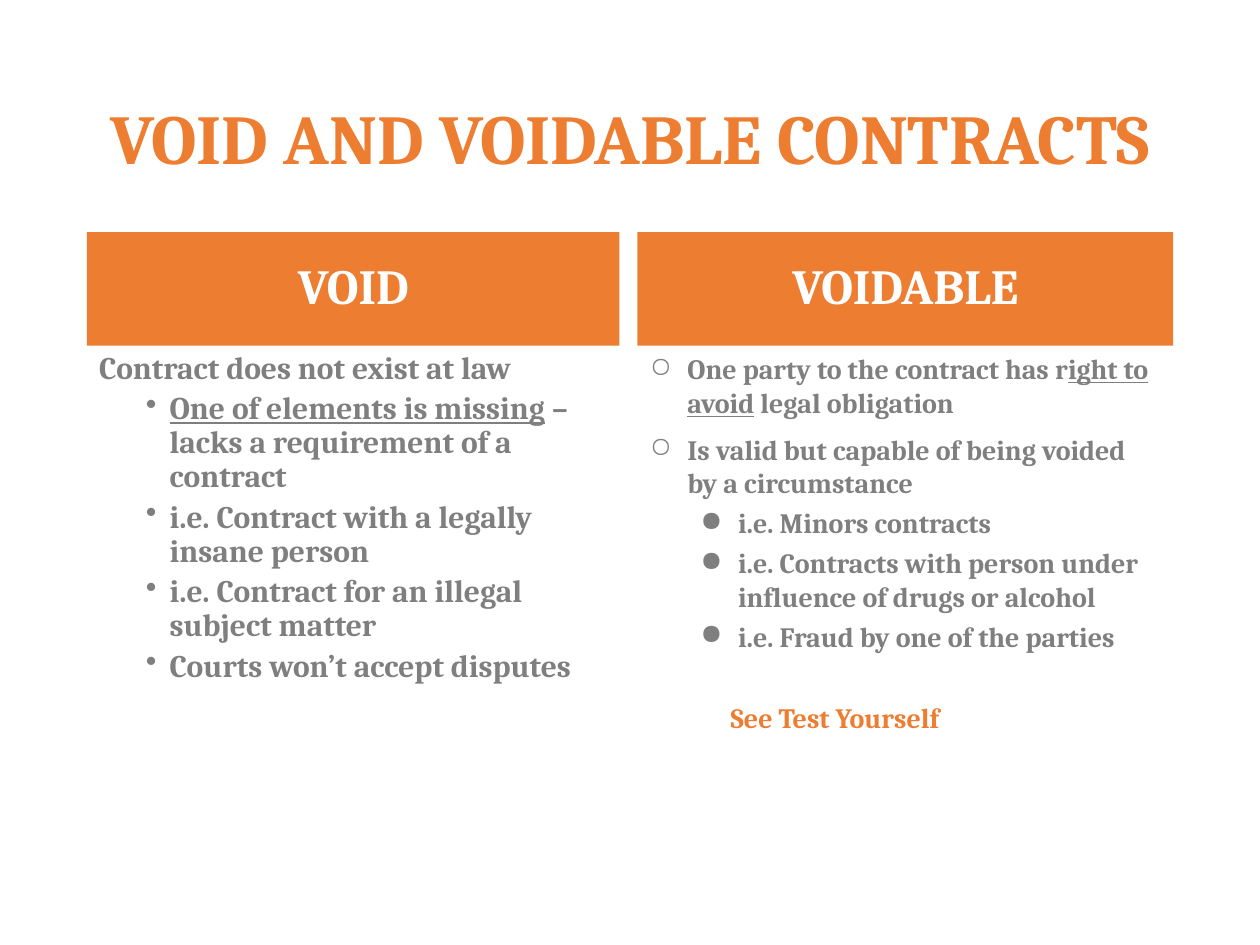
from lxml import etree
from pptx import Presentation
from pptx.dml.color import RGBColor
from pptx.enum.shapes import MSO_SHAPE
from pptx.enum.text import MSO_ANCHOR, PP_ALIGN
from pptx.oxml.ns import qn
from pptx.util import Cm, Pt

RECTANGLE = MSO_SHAPE.RECTANGLE
MIDDLE, TOP = MSO_ANCHOR.MIDDLE, MSO_ANCHOR.TOP
CENTER, LEFT = PP_ALIGN.CENTER, PP_ALIGN.LEFT

COLORS = {"orange": "ED7D31", "gray": "7F7F7F", "white": "FFFFFF"}
FONT = "Cambria"
BLANK_LAYOUT = 6

HEADING_TOP, HEADING_HEIGHT = 4.68, 2.29
BODY_TOP, BODY_HEIGHT = HEADING_TOP + HEADING_HEIGHT, 10.24

# Indents are (left margin, first line) in cm.
STYLES = {
    "title": {"size": 40, "color": "orange",
              "format": {"alignment": CENTER, "line_spacing": 0.9}},
    "heading": {"size": 28, "color": "white",
                "format": {"alignment": CENTER, "line_spacing": 0.9}},
    "lead": {"size": 18, "format": {"line_spacing": 0.9}},
    "void point": {"size": 18, "bullet": "•", "indent": (1.42, -0.48),
                   "format": {"level": 1, "line_spacing": 0.9, "space_before": Pt(3.7)}},
    "voidable point": {"size": 16, "bullet": "○", "indent": (0.76, -0.76),
                       "format": {"line_spacing": 1.0, "space_before": Pt(7.5)}},
    "example": {"size": 16, "bullet": "●", "indent": (1.78, -0.76),
                "format": {"level": 1, "line_spacing": 1.0, "space_before": Pt(3.7)}},
    "reference": {"size": 16, "color": "orange", "indent": (1.63, 0),
                  "format": {"level": 1, "line_spacing": 1.0, "space_before": Pt(27)}},
}

# Each paragraph is a style and its runs; odd-numbered runs are underlined.
COLUMNS = [
    {"left": 1.75, "width": 10.74, "heading": "VOID", "body": [
        ("lead", ["Contract does not exist at law"]),
        ("void point", ["", "One of elements is missing", " – lacks a requirement of a contract"]),
        ("void point", ["i.e. Contract with a legally insane person"]),
        ("void point", ["i.e. Contract for an illegal subject matter"]),
        ("void point", ["Courts won’t accept disputes"]),
    ]},
    {"left": 12.85, "width": 10.8, "heading": "VOIDABLE", "body": [
        ("voidable point", ["One party to the contract has r", "ight to avoid", " legal obligation"]),
        ("voidable point", ["Is valid but capable of being voided by a circumstance"]),
        ("example", ["i.e. Minors contracts"]),
        ("example", ["i.e. Contracts with person under influence of drugs or alcohol"]),
        ("example", ["i.e. Fraud by one of the parties"]),
        ("reference", ["See Test Yourself"]),
    ]},
]


def rgb(name):
    return RGBColor.from_string(COLORS[name])


def set_bullet(paragraph, character):
    properties = paragraph._p.get_or_add_pPr()
    bullet_color = etree.SubElement(properties, qn("a:buClr"))
    etree.SubElement(bullet_color, qn("a:srgbClr"), val=COLORS["gray"])
    etree.SubElement(properties, qn("a:buChar"), char=character)


def set_indent(paragraph, margin, first_line):
    properties = paragraph._p.get_or_add_pPr()
    properties.set("marL", str(Cm(margin)))
    properties.set("indent", str(Cm(first_line)))


def write_paragraph(paragraph, style_name, texts, is_first):
    style = STYLES[style_name]
    if "bullet" in style:
        set_bullet(paragraph, style["bullet"])
    if "indent" in style:
        set_indent(paragraph, *style["indent"])
    for attribute, value in {"alignment": LEFT, **style["format"]}.items():
        setattr(paragraph, attribute, value)
    if is_first:
        paragraph.space_before = Pt(0)
    for position, text in enumerate(texts):
        if not text:
            continue
        run = paragraph.add_run()
        run.text = text
        font_format = {"name": FONT, "size": Pt(style["size"]), "bold": True,
                       "underline": position % 2 == 1}
        for attribute, value in font_format.items():
            setattr(run.font, attribute, value)
        run.font.color.rgb = rgb(style.get("color", "gray"))


def fill_text(shape, paragraphs, anchor):
    frame = shape.text_frame
    frame.word_wrap = True
    frame.vertical_anchor = anchor
    for number, (style_name, texts) in enumerate(paragraphs):
        paragraph = frame.add_paragraph() if number else frame.paragraphs[0]
        write_paragraph(paragraph, style_name, texts, number == 0)


def add_text(slide, box, paragraphs, anchor=TOP):
    fill_text(slide.shapes.add_textbox(*map(Cm, box)), paragraphs, anchor)


def add_heading(slide, box, text):
    band = slide.shapes.add_shape(RECTANGLE, *map(Cm, box))
    band.shadow.inherit = False
    band.fill.solid()
    band.fill.fore_color.rgb = rgb("orange")
    band.line.fill.background()
    fill_text(band, [("heading", [text])], MIDDLE)


def add_column(slide, column):
    left, width = column["left"], column["width"]
    add_heading(slide, (left, HEADING_TOP, width, HEADING_HEIGHT), column["heading"])
    add_text(slide, (left, BODY_TOP, width, BODY_HEIGHT), column["body"])


def main():
    presentation = Presentation()
    presentation.slide_width, presentation.slide_height = Cm(25.4), Cm(19.05)
    slide = presentation.slides.add_slide(presentation.slide_layouts[BLANK_LAYOUT])
    add_text(slide, (1.75, 1.02, 21.9, 3.68),
             [("title", ["VOID AND VOIDABLE CONTRACTS"])], MIDDLE)
    for column in COLUMNS:
        add_column(slide, column)
    presentation.save("out.pptx")


if __name__ == "__main__":
    main()
